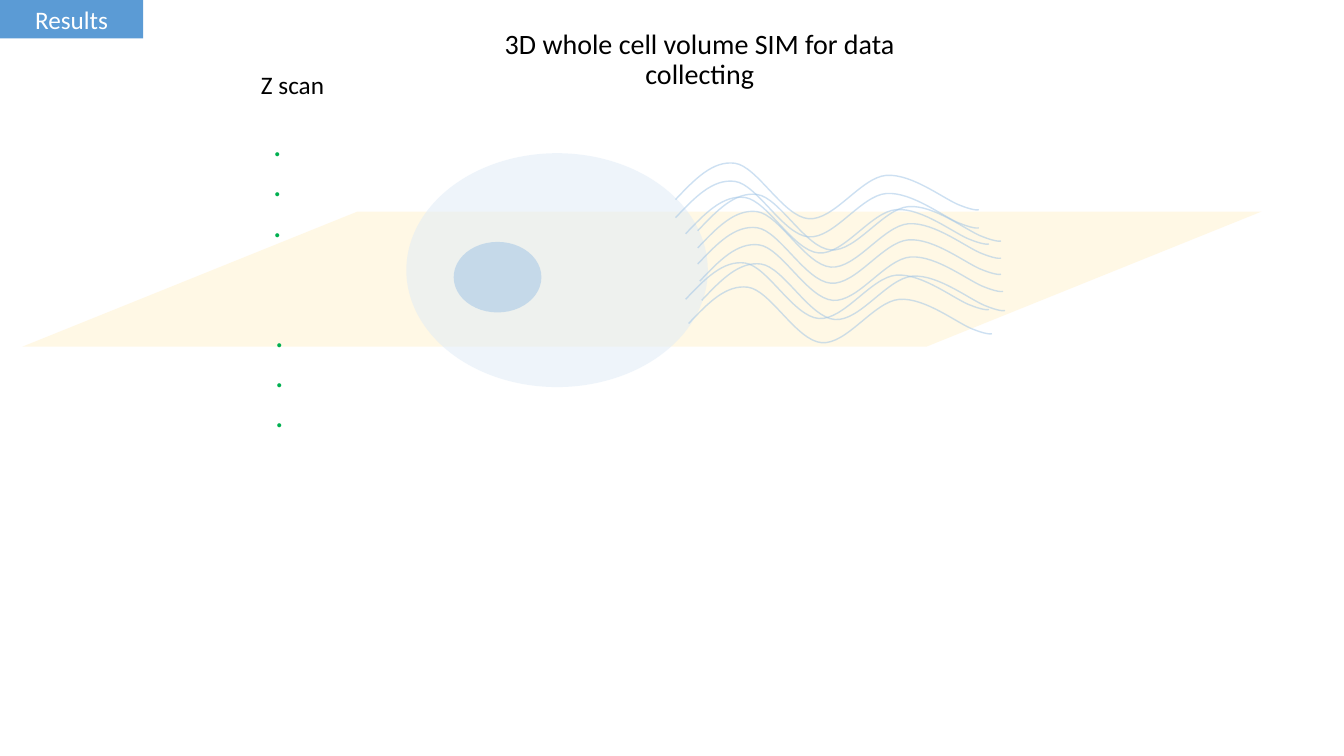
from itertools import islice
from lxml import etree
from pptx import Presentation
from pptx import util as u
from pptx.dml import color
from pptx.enum import shapes, text
from pptx.oxml import ns

deck = Presentation()
deck.slide_width, deck.slide_height = u.Inches(13.33), u.Inches(7.5)
slide = deck.slides.add_slide(deck.slide_layouts[6])
COL = deck.slide_width / 133.3
ROW = deck.slide_height / 75

# One wave as Bezier points, in grid units from its start
WAVE = [(1.9, -2), (3.7, -3.9), (5.9, -3.6), (8.1, -3.3), (10.7, 1.7),
        (13.2, 1.9), (15.7, 2.1), (18.4, -2.2), (20.9, -2.4), (23.5, -2.6),
        (26.8, 0.1), (28.3, 0.6), (29.8, 1.2), (30.2, 1), (30, 1)]
# Wave starts within the scene
STARTS = [(67.2, 7.9), (67.2, 9.6), (67.2, 11.2), (67.4, 12.9), (67.6, 14.8),
          (66.3, 17.1), (66, 8.2), (66, 14.7), (65, 4.8), (65, 6.6)]


def rgb(code):
    return color.RGBColor.from_string(code)


def grid(x, y, w, h):
    return round(x * COL), round(y * ROW), round(w * COL), round(h * ROW)


def fade(shape):
    """Make every colour of the shape half transparent."""
    for tint in list(shape._element.spPr.iter(ns.qn("a:srgbClr"))):
        etree.SubElement(tint, ns.qn("a:alpha"), val="50000")


def solid(kind, box, fill):
    shape = slide.shapes.add_shape(kind, *grid(*box))
    shape.shadow.inherit = False
    shape.fill.solid()
    shape.fill.fore_color.rgb = rgb(fill)
    shape.line.fill.background()
    return shape


def write(shape, lines, size, tone, align=text.PP_ALIGN.LEFT, wrap=False):
    frame = shape.text_frame
    frame.word_wrap = wrap
    frame.text = "\n".join(lines)
    for para in frame.paragraphs:
        para.alignment = align
        para.font.size = u.Pt(size)
        para.font.name = "Calibri"
        para.font.color.rgb = rgb(tone)
    return frame


def label(box, *args, **opts):
    return write(slide.shapes.add_textbox(*grid(*box)), *args, **opts)


def wave(x, y):
    pen = slide.shapes.build_freeform(round(x * COL), round(y * ROW))
    pen.add_line_segments([(round((x + dx) * COL), round((y + dy) * ROW))
                           for dx, dy in WAVE], close=False)
    shape = pen.convert_to_shape()
    # Turn each three straight segments into one Bezier curve
    route = next(shape._element.spPr.iter(ns.qn("a:path")))
    steps = iter(route.findall(ns.qn("a:lnTo")))
    while trio := list(islice(steps, 3)):
        curve = etree.SubElement(route, ns.qn("a:cubicBezTo"))
        for step in trio:
            curve.append(step[0])
            route.remove(step)
    shape.shadow.inherit = False
    shape.fill.background()
    shape.line.color.rgb = rgb("9DC3E6")
    shape.line.width = u.Pt(1)
    fade(shape)


def header(x, y, w, h):
    tag = solid(shapes.MSO_SHAPE.RECTANGLE, (x, y, 14.2, h), "5B9BD5")
    frame = write(tag, ["Results"], 18, "FFFFFF", text.PP_ALIGN.CENTER)
    frame.vertical_anchor = text.MSO_ANCHOR.MIDDLE
    frame = label((x + 47.4, y + 2.5, 44, 7),
                  ["3D whole cell volume SIM for data collecting"], 20,
                  "000000", align=text.PP_ALIGN.CENTER, wrap=True)
    frame.paragraphs[0].line_spacing = 0.9


def scene(x, y, w, h):
    # Focal plane, cell body and nucleus
    plane = solid(shapes.MSO_SHAPE.PARALLELOGRAM,
                  (x + 0.2, y + 6, w, 13.4), "FFF2CC")
    plane.adjustments[0] = 2.48
    fade(plane)
    oval = shapes.MSO_SHAPE.OVAL
    fade(solid(oval, (x + 38.3, y + 0.2, 29.9, 23.2), "DEEBF7"))
    fade(solid(oval, (x + 43, y + 9, 8.7, 7), "9DC3E6"))
    # Fibres
    for dx, dy in STARTS:
        wave(x + dx, y + dy)


def scan(x, y, w, h):
    label((x, y, w, 4), ["Z scan"], 18, "000000")
    # Dots above and below the plane
    for dx, dy in [(1.2, 5.3), (1.4, 24.2)]:
        label((x + dx, y + dy, 2.9, 13.1), ["."] * 3, 24, "00B050")


header(0, 0, 133.3, 3.8)
scene(2, 15, 122.9, 24)
scan(24.9, 6.4, 8.3, 37.3)
deck.save("out.pptx")
